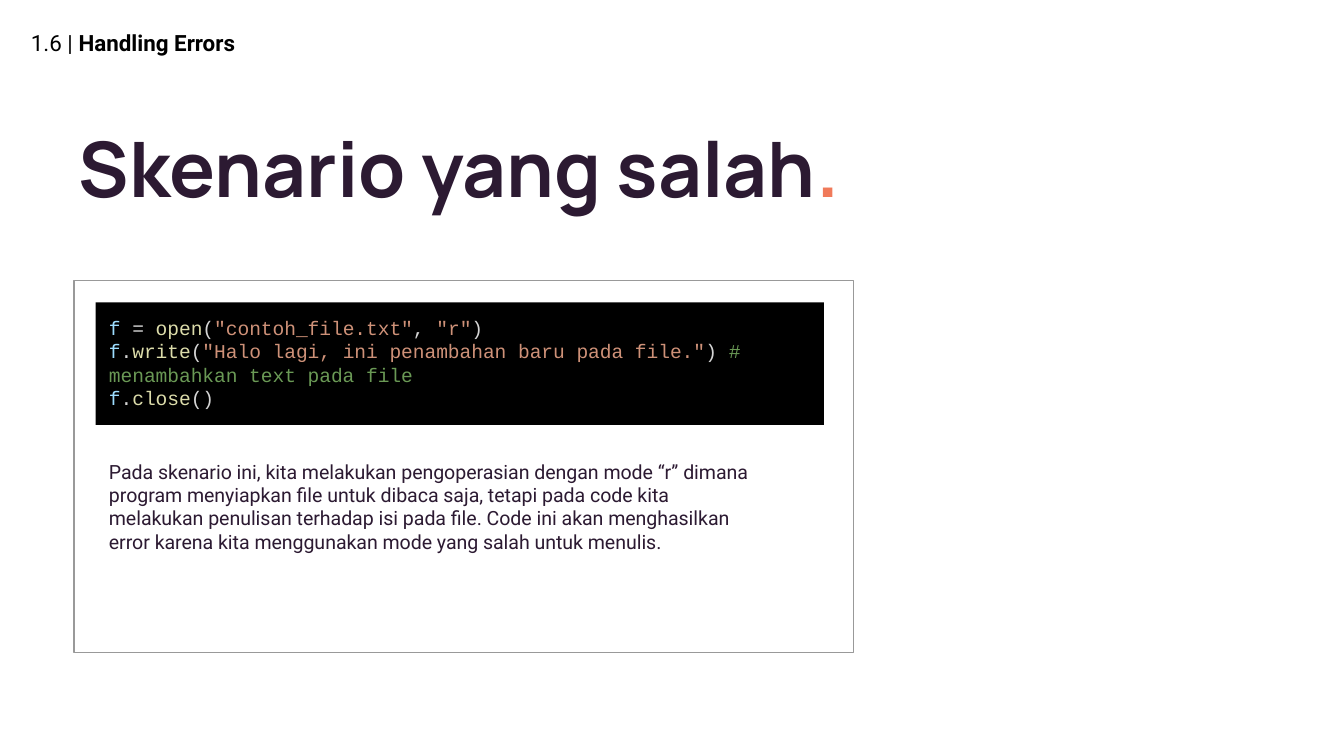
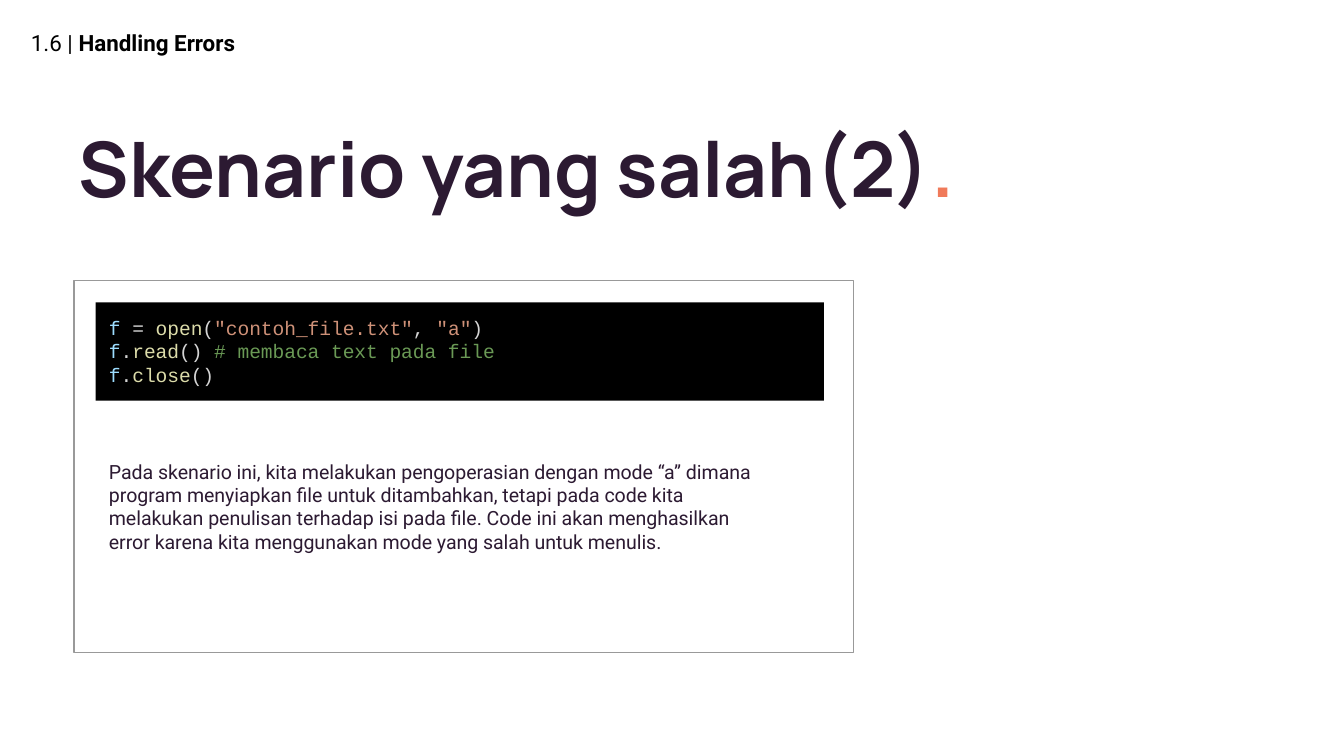
"""Build two slides on wrong file-mode scenarios in Python."""

from dataclasses import dataclass
from typing import NamedTuple

from pptx import Presentation
from pptx.dml.color import RGBColor
from pptx.enum.shapes import MSO_SHAPE
from pptx.enum.text import MSO_ANCHOR, MSO_AUTO_SIZE, PP_ALIGN
from pptx.shapes.autoshape import Shape
from pptx.slide import Slide
from pptx.util import Emu, Pt

EMU_PER_PX = 5715
SLIDE_WIDTH = 1600
SLIDE_HEIGHT = 900
MARGIN = 16
TITLE_ONLY = 5

BLACK = "000000"
INK = "2C1A32"
ACCENT = "F07A5A"
FRAME_GREY = "999999"
VARIABLE = "9CDCFE"
PLAIN = "D4D4D4"
FUNCTION = "DCDCAA"
STRING = "CE9178"
COMMENT = "6A9955"


class Box(NamedTuple):
    left: int
    top: int
    width: int
    height: int


class Run(NamedTuple):
    text: str
    color: str
    bold: bool = False


class TextStyle(NamedTuple):
    font: str
    size: float
    anchor: MSO_ANCHOR = MSO_ANCHOR.TOP
    line_spacing: float = 1.0
    grow: bool = False


Line = list[Run]

HEADER_STYLE = TextStyle("Roboto", 12, MSO_ANCHOR.MIDDLE)
TITLE_STYLE = TextStyle("Manrope", 41, MSO_ANCHOR.MIDDLE, 0.8)
CODE_STYLE = TextStyle("Courier New", 10.5, grow=True)
BODY_STYLE = TextStyle("Roboto", 10.5, grow=True)

HEADER_BOX = Box(21, 11, 730, 80)
TITLE_BOX = Box(78, 83, 1216, 251)
FRAME_BOX = Box(88, 334, 928, 443)
HEADER_LINE = [Run("1.6 |", BLACK), Run(" Handling Errors", BLACK, True)]


@dataclass(frozen=True)
class Scenario:
    title: str
    mode: str
    purpose: str
    action: Line
    code_height: int
    body_height: int

    def code(self) -> list[Line]:
        """Return the open, action and close lines."""
        opening = [
            Run("f", VARIABLE), Run(" = ", PLAIN), Run("open", FUNCTION), Run("(", PLAIN),
            Run('"contoh_file.txt"', STRING), Run(", ", PLAIN),
            Run(f'"{self.mode}"', STRING), Run(")", PLAIN),
        ]
        return [opening, self.action, method_call("close", Run("()", PLAIN))]

    def explanation(self) -> str:
        """Return the text that explains the error."""
        return (
            f"Pada skenario ini, kita melakukan pengoperasian dengan mode “{self.mode}” dimana "
            f"program menyiapkan file untuk {self.purpose}, tetapi pada code kita "
            "melakukan penulisan terhadap isi pada file. Code ini akan menghasilkan "
            "error karena kita menggunakan mode yang salah untuk menulis."
        )


def method_call(name: str, *rest: Run) -> Line:
    """Return a coloured line that calls a method of f."""
    return [Run("f", VARIABLE), Run(".", PLAIN), Run(name, FUNCTION), *rest]


SCENARIOS = [
    Scenario(
        "Skenario yang salah", "r", "dibaca saja",
        method_call(
            "write", Run("(", PLAIN),
            Run('"Halo lagi, ini penambahan baru pada file."', STRING),
            Run(") ", PLAIN), Run("# menambahkan text pada file", COMMENT),
        ),
        146, 146,
    ),
    Scenario(
        "Skenario yang salah(2)", "a", "ditambahkan",
        method_call("read", Run("() ", PLAIN), Run("# membaca text pada file", COMMENT)),
        117, 174,
    ),
]


def px(length: int) -> Emu:
    """Convert px to EMU."""
    return Emu(length * EMU_PER_PX)


def rgb(color: str) -> RGBColor:
    """Convert a hex string to a colour."""
    return RGBColor.from_string(color)


def write_text(shape: Shape, lines: list[Line], style: TextStyle) -> None:
    """Fill a shape with styled lines, run by run."""
    frame = shape.text_frame
    frame.word_wrap = True
    frame.auto_size = MSO_AUTO_SIZE.SHAPE_TO_FIT_TEXT if style.grow else MSO_AUTO_SIZE.NONE
    frame.vertical_anchor = style.anchor
    frame.margin_left = frame.margin_right = px(MARGIN)
    frame.margin_top = frame.margin_bottom = px(MARGIN)
    for index, line in enumerate(lines):
        paragraph = frame.add_paragraph() if index else frame.paragraphs[0]
        paragraph.alignment = PP_ALIGN.LEFT
        paragraph.line_spacing = style.line_spacing
        paragraph.space_before = Pt(0)
        for part in line:
            run = paragraph.add_run()
            run.text = part.text
            run.font.name = style.font
            run.font.size = Pt(style.size)
            run.font.bold = part.bold
            run.font.color.rgb = rgb(part.color)


def add_text(slide: Slide, box: Box, lines: list[Line], style: TextStyle) -> None:
    """Add a text box."""
    write_text(slide.shapes.add_textbox(*map(px, box)), lines, style)


def add_rectangle(slide: Slide, box: Box, fill: str = "", line: str = "") -> Shape:
    """Add a flat rectangle with an optional fill and outline."""
    shape = slide.shapes.add_shape(MSO_SHAPE.RECTANGLE, *map(px, box))
    shape.shadow.inherit = False
    if fill:
        shape.fill.solid()
        shape.fill.fore_color.rgb = rgb(fill)
    else:
        shape.fill.background()
    if line:
        shape.line.color.rgb = rgb(line)
        shape.line.width = Pt(0.75)
    else:
        shape.line.fill.background()
    return shape


def add_title(slide: Slide, text: str) -> None:
    """Place the title and its accent dot."""
    title = slide.shapes.title
    title.left, title.top, title.width, title.height = map(px, TITLE_BOX)
    write_text(title, [[Run(text, INK, True), Run(".", ACCENT, True)]], TITLE_STYLE)


def add_scenario(slide: Slide, scenario: Scenario) -> None:
    """Draw one scenario slide."""
    add_text(slide, HEADER_BOX, [HEADER_LINE], HEADER_STYLE)
    add_title(slide, scenario.title)
    add_rectangle(slide, FRAME_BOX, line=FRAME_GREY)
    code_block = add_rectangle(slide, Box(114, 360, 867, scenario.code_height), fill=BLACK)
    write_text(code_block, scenario.code(), CODE_STYLE)
    body_box = Box(114, 531, 798, scenario.body_height)
    add_text(slide, body_box, [[Run(scenario.explanation(), INK)]], BODY_STYLE)


def main() -> None:
    """Build and save the presentation."""
    presentation = Presentation()
    presentation.slide_width = px(SLIDE_WIDTH)
    presentation.slide_height = px(SLIDE_HEIGHT)
    layout = presentation.slide_layouts[TITLE_ONLY]
    for scenario in SCENARIOS:
        add_scenario(presentation.slides.add_slide(layout), scenario)
    presentation.save("out.pptx")


if __name__ == "__main__":
    main()
